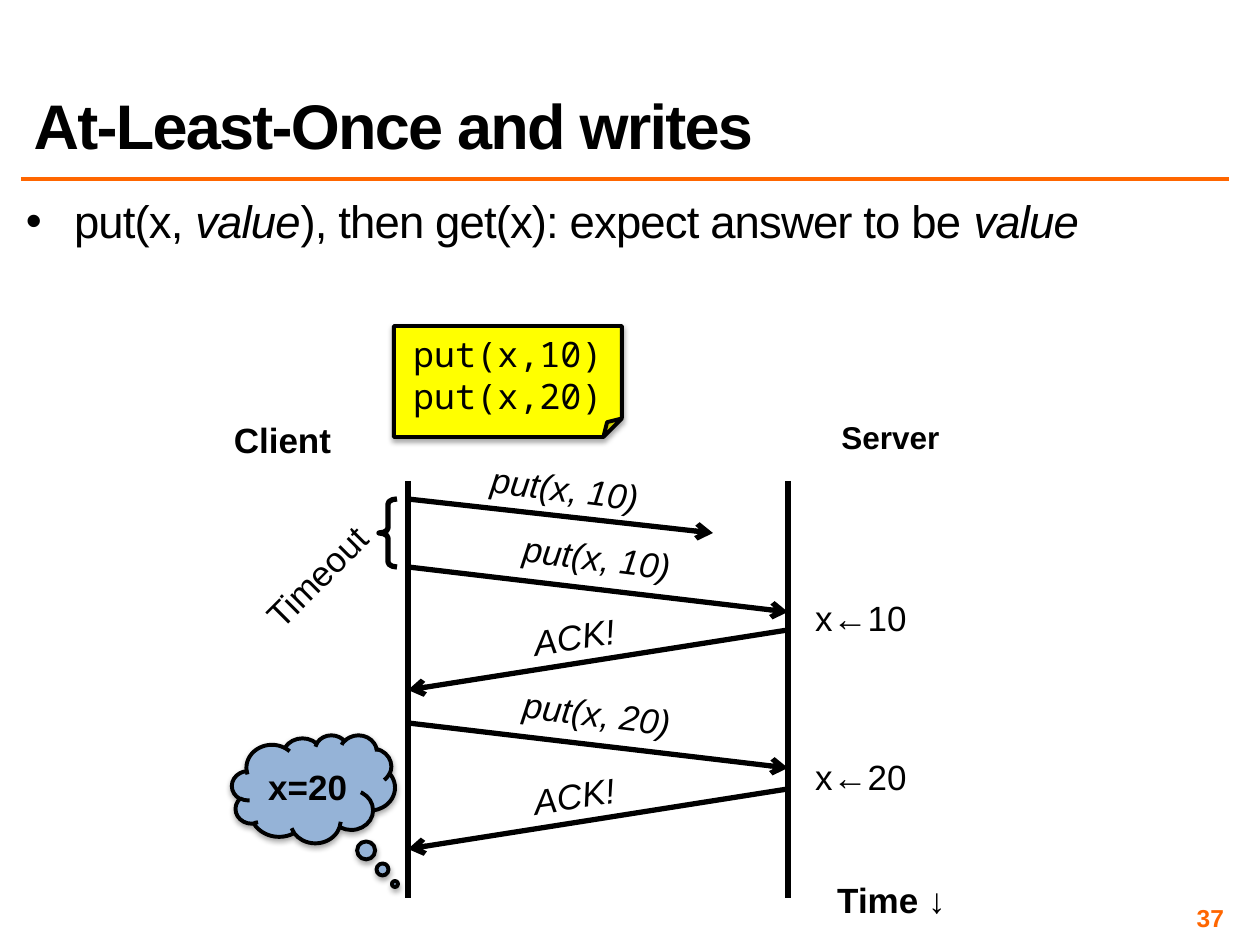
from dataclasses import dataclass

from lxml import etree
from pptx import Presentation
from pptx import util as u
from pptx.dml.color import RGBColor
from pptx.enum import shapes, text
from pptx.oxml import parse_xml
from pptx.oxml.ns import nsdecls, qn

PX = 914400 // 126
BLACK, ORANGE, YELLOW, BLUE = "000000", "FF6600", "FFFF00", "95B3D7"
CLIENT_X, SERVER_X = 408, 788
MIDDLE, TOP = text.MSO_ANCHOR.MIDDLE, text.MSO_ANCHOR.TOP
CENTER = text.PP_ALIGN.CENTER


@dataclass
class Box:
    x: int
    y: int
    w: int
    h: int

    def emu(self) -> list:
        return [v * PX for v in (self.x, self.y, self.w, self.h)]


@dataclass
class Label:
    words: str
    box: Box
    rotation: float = 0
    size: int = 20
    bold: bool = False
    italic: bool = False


@dataclass
class Line:
    x1: int
    y1: int
    x2: int
    y2: int
    arrow: bool = True
    color: str = BLACK
    width: float = 3


@dataclass
class Exchange:
    value: int
    request_y: int
    reply_y: int


def rgb(color: str) -> RGBColor:
    return RGBColor.from_string(color)


def set_all(obj, **values) -> None:
    for name, value in values.items():
        setattr(obj, name, value)


def set_margins(tf, margin: int) -> None:
    set_all(tf, **{f"margin_{side}": margin * PX for side in ("left", "top", "right", "bottom")})


def add_run(p, words: str, size: int, color: str = BLACK, font: str = "Arial",
            bold: bool = False, italic: bool = False, spacing: int = 0) -> None:
    r = p.add_run()
    r.text = words
    set_all(r.font, size=u.Pt(size), name=font, bold=bold, italic=italic)
    r.font.color.rgb = rgb(color)
    if spacing:
        r.font._element.set("spc", str(spacing))


def place(sp, box: Box) -> None:
    set_all(sp, **dict(zip(("left", "top", "width", "height"), box.emu())))


def add_label(slide, label: Label) -> None:
    sp = slide.shapes.add_textbox(*label.box.emu())
    sp.rotation = label.rotation
    tf = sp.text_frame
    set_all(tf, word_wrap=False, auto_size=text.MSO_AUTO_SIZE.SHAPE_TO_FIT_TEXT)
    p = tf.paragraphs[0]
    p.alignment = CENTER
    add_run(p, label.words, label.size, bold=label.bold, italic=label.italic)


def add_line(slide, line: Line) -> None:
    ends = (v * PX for v in (line.x1, line.y1, line.x2, line.y2))
    sp = slide.shapes.add_connector(shapes.MSO_CONNECTOR.STRAIGHT, *ends)
    sp.line.width = u.Pt(line.width)
    sp.line.color.rgb = rgb(line.color)
    if line.arrow:
        etree.SubElement(sp.line._get_or_add_ln(), qn("a:tailEnd"), type="arrow")
    etree.SubElement(sp._element.spPr, qn("a:effectLst"))


def add_outline(slide, kind, box: Box, width: float, fill: str = "", adjustments: tuple = ()):
    sp = slide.shapes.add_shape(kind, *box.emu())
    for i, value in enumerate(adjustments):
        sp.adjustments[i] = value
    sp.line.width = u.Pt(width)
    sp.line.color.rgb = rgb(BLACK)
    if fill:
        sp.fill.solid()
        sp.fill.fore_color.rgb = rgb(fill)
    else:
        sp.fill.background()
    sp.shadow.inherit = False
    return sp


def add_shadow(sp) -> None:
    effects = sp._element.spPr.find(qn("a:effectLst"))
    effects.append(parse_xml(
        f'<a:outerShdw {nsdecls("a")} blurRad="40000" dist="23000" dir="5400000" rotWithShape="0">'
        f'<a:srgbClr val="{BLACK}"><a:alpha val="35000"/></a:srgbClr></a:outerShdw>'))


def add_filled(slide, kind, box: Box, fill: str, lines: list, anchor,
               adjustments: tuple = (), **font) -> None:
    sp = add_outline(slide, kind, box, 2.25, fill, adjustments)
    add_shadow(sp)
    tf = sp.text_frame
    tf.vertical_anchor = anchor
    for i, words in enumerate(lines):
        p = tf.add_paragraph() if i else tf.paragraphs[0]
        p.alignment = CENTER
        add_run(p, words, 20, **font)


def add_heading(slide) -> None:
    title, body = slide.shapes.title, slide.placeholders[1]
    place(title, Box(21, 21, 1207, 147))
    set_all(title.text_frame, vertical_anchor=text.MSO_ANCHOR.BOTTOM,
            auto_size=text.MSO_AUTO_SIZE.NONE)
    p = title.text_frame.paragraphs[0]
    set_all(p, alignment=text.PP_ALIGN.LEFT, line_spacing=0.8)
    add_run(p, "At-Least-Once and writes", 36, bold=True, spacing=-100)
    add_line(slide, Line(21, 179, 1229, 179, False, ORANGE, 2))

    place(body, Box(21, 199, 1207, 86))
    tf = body.text_frame
    tf.auto_size = text.MSO_AUTO_SIZE.NONE
    set_margins(tf, 5)
    p = tf.paragraphs[0]
    set_all(p, line_spacing=0.8, space_before=u.Pt(0))
    ppr = p._p.get_or_add_pPr()
    set_indent = {"marL": 48 * PX, "indent": -48 * PX}
    for name, value in set_indent.items():
        ppr.set(name, str(value))
    etree.SubElement(ppr, qn("a:buFont"), typeface="Arial")
    etree.SubElement(ppr, qn("a:buChar"), char="•")
    pieces = ("put(x, ", "value", "), then get(x): expect answer to be ", "value")
    for i, words in enumerate(pieces):
        add_run(p, words, 26, italic=i % 2 == 1, spacing=-50)


def add_slide_number(slide) -> None:
    tf = slide.shapes.add_textbox(*Box(935, 903, 294, 29).emu()).text_frame
    set_all(tf, word_wrap=True, vertical_anchor=MIDDLE)
    set_margins(tf, 5)
    p = tf.paragraphs[0]
    p.alignment = text.PP_ALIGN.RIGHT
    add_run(p, "37", 14, ORANGE, bold=True)


def add_exchange(slide, e: Exchange) -> None:
    add_line(slide, Line(CLIENT_X, e.request_y, SERVER_X, e.request_y + 45))
    add_line(slide, Line(SERVER_X, e.reply_y, CLIENT_X, e.reply_y + 60))
    for label in (
        Label(f"put(x, {e.value})", Box(510, e.request_y - 37, 174, 55), 7.1, italic=True),
        Label("ACK!", Box(520, e.reply_y - 21, 108, 55), 351.4, italic=True),
        Label(f"x←{e.value}", Box(801, e.reply_y - 40, 120, 55)),
    ):
        add_label(slide, label)


def main() -> None:
    prs = Presentation()
    set_all(prs, slide_width=u.Inches(10), slide_height=u.Inches(7.5))
    slide = prs.slides.add_slide(prs.slide_layouts[1])
    add_heading(slide)
    add_slide_number(slide)
    for x in (CLIENT_X, SERVER_X):
        add_line(slide, Line(x, 481, x, 898, arrow=False))
    add_line(slide, Line(CLIENT_X, 499, 713, 533))
    for exchange in (Exchange(10, 567, 630), Exchange(20, 723, 789)):
        add_exchange(slide, exchange)
    for label in (
        Label("Client", Box(215, 412, 135, 55), bold=True),
        Label("Server", Box(823, 412, 135, 51), size=18, bold=True),
        Label("put(x, 10)", Box(478, 461, 174, 55), 7.1, italic=True),
        Label("Timeout", Box(241, 549, 151, 55), 315),
        Label("Time ↓", Box(824, 872, 135, 55), bold=True),
    ):
        add_label(slide, label)
    kinds = shapes.MSO_SHAPE
    add_outline(slide, kinds.LEFT_BRACE, Box(379, 499, 18, 68), 3, adjustments=(0.28, 0.5))
    add_filled(slide, kinds.CLOUD_CALLOUT, Box(232, 735, 163, 108), BLUE, ["x=20"], MIDDLE,
               (0.5, 0.88), bold=True)
    add_filled(slide, kinds.FOLDED_CORNER, Box(394, 326, 228, 111), YELLOW,
               ["put(x,10)", "put(x,20)"], TOP, font="Noto Sans Mono")
    prs.save("out.pptx")


if __name__ == "__main__":
    main()
